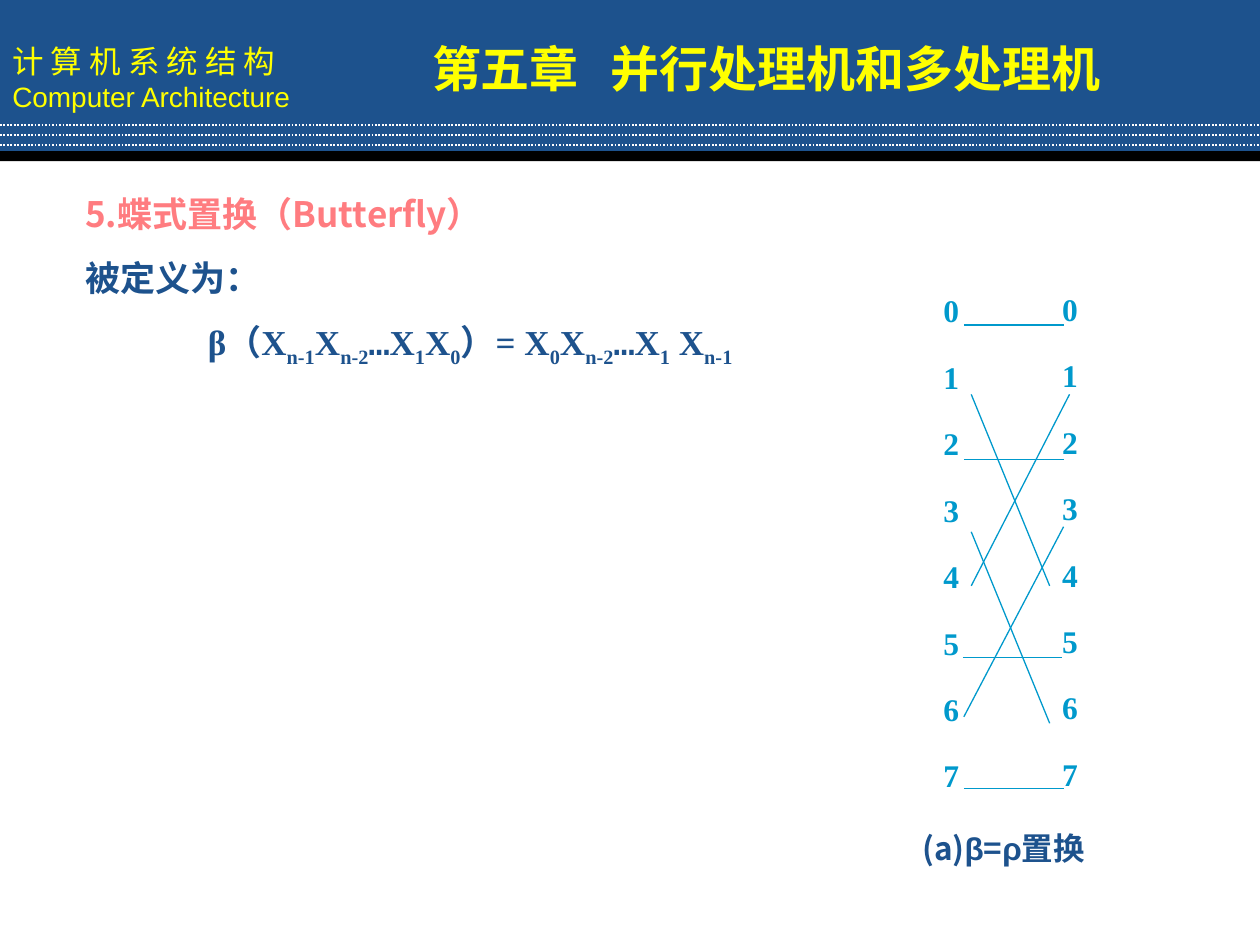
import pptx
import pptx.dml.color
import pptx.enum.dml
import pptx.enum.shapes
import pptx.enum.text
import pptx.oxml.ns
import pptx.util
from lxml import etree

Cm = pptx.util.Cm
Pt = pptx.util.Pt
ALIGN = pptx.enum.text.PP_ALIGN
ANCHOR = pptx.enum.text.MSO_ANCHOR

COLORS = {"navy": "1D528D", "yellow": "FFFF00", "white": "FFFFFF",
          "black": "000000", "coral": "FF7C80", "cyan": "0099CC"}
SANS, ARIAL, SERIF, MONO = "Noto Sans CJK SC", "Arial", "Times New Roman", "Courier New"

# Formula pieces: text and whether it is a subscript
FORMULA = [("β（X", False), ("n-1", True), ("X", False), ("n-2", True), ("…", False),
           ("X", False), ("1", True), ("X", False), ("0", True), ("）= X", False),
           ("0", True), ("X", False), ("n-2", True), ("…", False), ("X", False),
           ("1", True), (" X", False), ("n-1", True)]

# Butterfly links in cm: x1, y1, x2, y2
LINKS = [(19.43, 6.55, 21.44, 6.55), (19.43, 9.27, 21.44, 9.27),
         (19.41, 13.26, 21.41, 13.26), (19.43, 15.9, 21.44, 15.9),
         (19.58, 7.95, 21.16, 11.81), (19.58, 10.72, 21.16, 14.58),
         (21.56, 7.95, 19.58, 11.81), (21.44, 10.62, 19.43, 14.45)]


def rgb(name):
    return pptx.dml.color.RGBColor.from_string(COLORS[name])


def apply(target, values):
    for name, value in values.items():
        setattr(target, name, value)


def add_run(paragraph, text, font, size, color, bold=True, subscript=False):
    run = paragraph.add_run()
    run.text = text
    apply(run.font, {"name": font, "size": Pt(size), "bold": bold})
    run.font.color.rgb = rgb(color)
    properties = run.font._element
    east_asian = etree.SubElement(properties, pptx.oxml.ns.qn("a:ea"))
    east_asian.set("typeface", SANS)
    if subscript:
        properties.set("baseline", "-25000")


def place(shape, left, top, width, height):
    apply(shape, {"left": Cm(left), "top": Cm(top), "width": Cm(width), "height": Cm(height)})


def format_frame(shape, anchor=ANCHOR.TOP):
    apply(shape.text_frame, {
        "word_wrap": True, "vertical_anchor": anchor,
        "margin_left": Cm(0.25), "margin_right": Cm(0.25),
        "margin_top": Cm(0.13), "margin_bottom": Cm(0.13)})
    return shape.text_frame


def add_text_box(slide, left, top, width, height):
    box = slide.shapes.add_textbox(Cm(left), Cm(top), Cm(width), Cm(height))
    frame = format_frame(box)
    frame.paragraphs[0].alignment = ALIGN.JUSTIFY
    return frame


def add_bar(slide, top, height, color):
    bar = slide.shapes.add_shape(pptx.enum.shapes.MSO_SHAPE.RECTANGLE,
                                 0, Cm(top), Cm(25.4), Cm(height))
    bar.shadow.inherit = False
    bar.fill.solid()
    bar.fill.fore_color.rgb = rgb(color)
    bar.line.fill.background()
    return bar


def add_line(slide, start_x, start_y, end_x, end_y, color, width):
    line = slide.shapes.add_connector(pptx.enum.shapes.MSO_CONNECTOR.STRAIGHT,
                                      Cm(start_x), Cm(start_y), Cm(end_x), Cm(end_y))
    line.line.color.rgb = rgb(color)
    line.line.width = Pt(width)
    etree.SubElement(line._element.spPr, pptx.oxml.ns.qn("a:effectLst"))
    return line


def add_header(slide):
    band = add_bar(slide, 0, 3.12, "navy")
    frame = format_frame(band, ANCHOR.MIDDLE)
    course = frame.paragraphs[0]
    add_run(course, "计 算 机 系 统 结 构", SANS, 18, "yellow", bold=False)
    english = frame.add_paragraph()
    add_run(english, "Computer Architecture", ARIAL, 16, "yellow", bold=False)
    for paragraph in (course, english):
        paragraph.alignment = ALIGN.LEFT
    add_bar(slide, 3.05, 0.2, "black")
    for row in range(3):
        y = 2.52 + 0.2 * row
        rule = add_line(slide, 0, y, 25.4, y, "white", 1)
        rule.line.dash_style = pptx.enum.dml.MSO_LINE.ROUND_DOT


def add_title(slide):
    title = slide.shapes.title
    title.element.getparent().append(title.element)  # in front of the header band
    place(title, 8.46, 0.64, 16.3, 1.45)
    paragraph = format_frame(title).paragraphs[0]
    paragraph.alignment = ALIGN.LEFT
    # A tab stop sets the gap after the chapter number
    properties = paragraph._p.get_or_add_pPr()
    tabs = etree.SubElement(properties, pptx.oxml.ns.qn("a:tabLst"))
    etree.SubElement(tabs, pptx.oxml.ns.qn("a:tab"), pos=str(Cm(3.6)), algn="l")
    add_run(paragraph, "第五章\t并行处理机和多处理机", SANS, 28, "yellow")


def add_definition(slide):
    frame = add_text_box(slide, 1.47, 3.76, 22.66, 3.81)
    add_run(frame.paragraphs[0], "5.蝶式置换（Butterfly）", SANS, 20, "coral")
    intro, formula = frame.add_paragraph(), frame.add_paragraph()
    for paragraph in (intro, formula):
        apply(paragraph, {"alignment": ALIGN.JUSTIFY, "space_before": Pt(12.5)})
    add_run(intro, "被定义为：", SANS, 20, "navy")
    formula._p.get_or_add_pPr().set("marL", str(Cm(2.47)))
    for text, subscript in FORMULA:
        font = MONO if text == "…" else SERIF
        add_run(formula, text, font, 20, "navy", subscript=subscript)


def add_butterfly(slide):
    # Two columns of node numbers
    for left, top in ((18.77, 5.74), (21.16, 5.71)):
        for node in range(8):
            frame = add_text_box(slide, left, top + 1.34 * node, 1.19, 1.65)
            add_run(frame.paragraphs[0], str(node), SERIF, 18, "cyan")
    for link in LINKS:
        add_line(slide, *link, "cyan", 0.75)
    # Caption
    caption = add_text_box(slide, 18.34, 16.59, 4.01, 1.02).paragraphs[0]
    for text, font in (("(a)", SANS), ("β", ARIAL), ("=", SANS), ("ρ", ARIAL), ("置换", SANS)):
        add_run(caption, text, font, 18, "navy")


def main():
    presentation = pptx.Presentation()
    apply(presentation, {"slide_width": Cm(25.4), "slide_height": Cm(19.05)})
    slide = presentation.slides.add_slide(presentation.slide_layouts[5])
    add_header(slide)
    add_definition(slide)
    add_title(slide)
    add_butterfly(slide)
    presentation.save("out.pptx")


if __name__ == "__main__":
    main()
